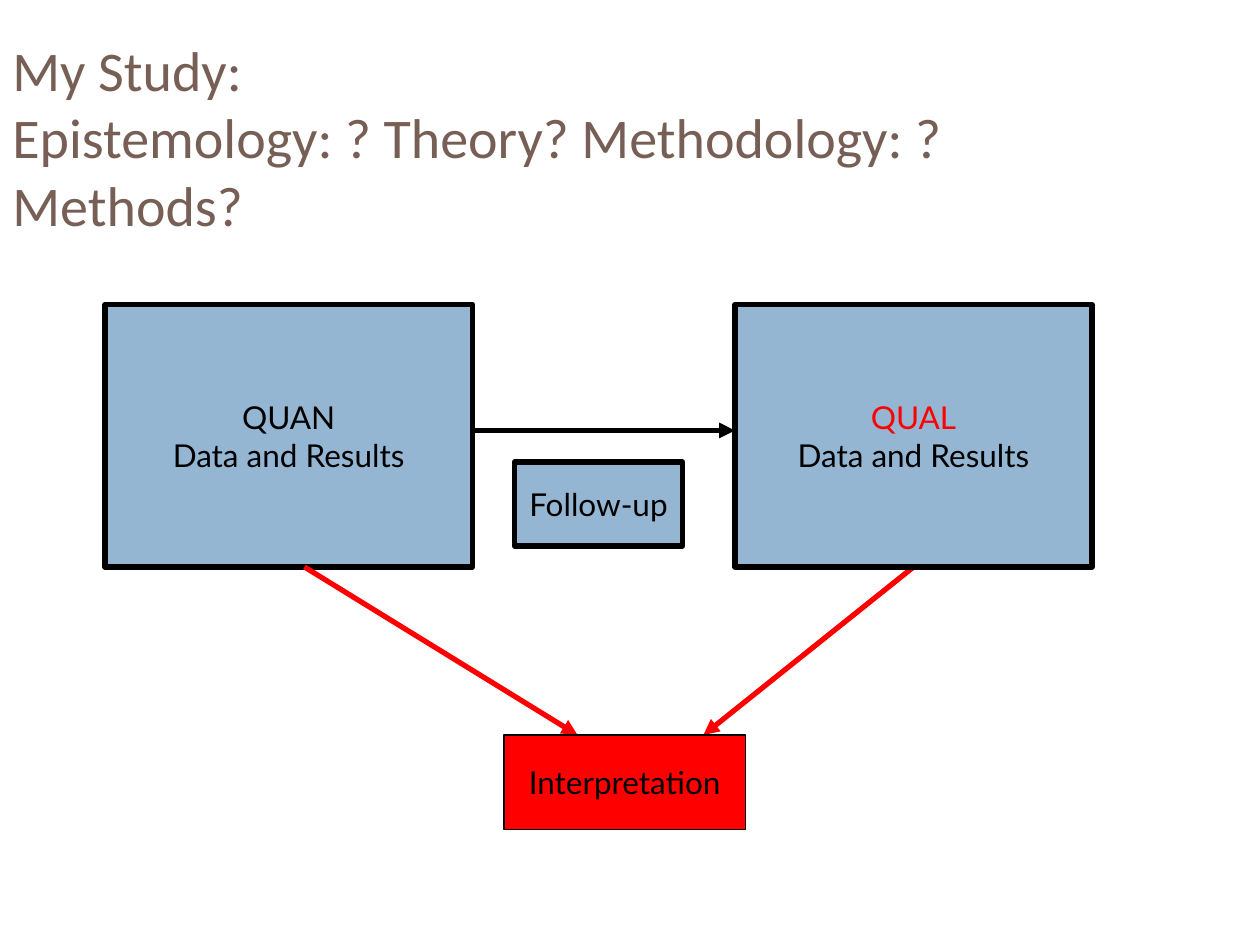
from lxml import etree
from pptx import Presentation
from pptx.dml.color import RGBColor
from pptx.enum.shapes import MSO_CONNECTOR as Connector, MSO_SHAPE as Shape
from pptx.enum.text import MSO_ANCHOR as Anchor, PP_ALIGN as Align
from pptx.oxml.ns import qn
from pptx.util import Inches, Pt

COLORS = {"title": "775F55", "box": "94B6D2", "accent": "FF0000", "ink": "000000"}
COLUMNS, ROWS = 120, 90
CELL = Inches(10) // COLUMNS


def color(name):
    return RGBColor.from_string(COLORS[name])


def add_run(paragraph, text, font, size, ink):
    run = paragraph.add_run()
    run.text = text
    run.font.name = font
    run.font.size = Pt(size)
    run.font.color.rgb = color(ink)


def add_title(slide, box, lines):
    text_box = slide.shapes.add_textbox(*(CELL * value for value in box))
    frame = text_box.text_frame
    frame.word_wrap = True
    frame.vertical_anchor = Anchor.MIDDLE
    paragraph = frame.paragraphs[0]
    for index, line in enumerate(lines):
        if index:
            paragraph.add_line_break()
        add_run(paragraph, line, "Calibri", 32, "title")


def add_box(slide, box, lines, fill="box", line_width=3):
    shape = slide.shapes.add_shape(Shape.RECTANGLE, *(CELL * value for value in box))
    shape.shadow.inherit = False
    shape.fill.solid()
    shape.fill.fore_color.rgb = color(fill)
    shape.line.color.rgb = color("ink")
    shape.line.width = Pt(line_width)
    frame = shape.text_frame
    frame.word_wrap = False
    frame.vertical_anchor = Anchor.MIDDLE
    for index, (text, ink) in enumerate(lines):
        paragraph = frame.add_paragraph() if index else frame.paragraphs[0]
        paragraph.alignment = Align.CENTER
        add_run(paragraph, text, "Lato", 18, ink)


def add_arrow(slide, start, end, ink):
    points = (CELL * value for value in (*start, *end))
    arrow = slide.shapes.add_connector(Connector.STRAIGHT, *points)
    arrow.line.color.rgb = color(ink)
    arrow.line.width = Pt(3)
    etree.SubElement(arrow.line._get_or_add_ln(), qn("a:tailEnd"), type="triangle")
    etree.SubElement(arrow._element.spPr, qn("a:effectLst"))


def add_study_diagram(slide, box):
    left, top, width, height = box
    right, bottom = left + width, top + height
    data_height, quan_width, qual_width = 25, 35, 34
    data_bottom = top + data_height
    quan_right, qual_left = left + quan_width, right - qual_width
    result_width, result_height = 23, 9
    result_top = bottom - result_height
    middle = top + data_height // 2
    data_line = ("Data and Results", "ink")

    add_box(slide, (left, top, quan_width, data_height), [("QUAN", "ink"), data_line])
    add_box(slide, (quan_right + 4, middle + 3, 16, 8), [("Follow-up", "ink")])
    add_arrow(slide, (quan_right, middle), (qual_left, middle), "ink")
    add_arrow(slide, (left + 19, data_bottom), (left + 45, result_top), "accent")
    add_arrow(slide, (qual_left + qual_width // 2, data_bottom), (left + 57, result_top), "accent")
    add_box(slide, (left + 38, result_top, result_width, result_height),
            [("Interpretation", "ink")], fill="accent", line_width=0.75)
    add_box(slide, (qual_left, top, qual_width, data_height), [("QUAL", "accent"), data_line])


def main():
    presentation = Presentation()
    presentation.slide_width = CELL * COLUMNS
    presentation.slide_height = CELL * ROWS
    slide = presentation.slides.add_slide(presentation.slide_layouts[6])
    add_title(slide, (0, 4, 108, 18),
              ["My Study:", "Epistemology: ? Theory? Methodology: ? Methods?"])
    add_study_diagram(slide, (10, 29, 94, 50))
    presentation.save("out.pptx")


if __name__ == "__main__":
    main()
